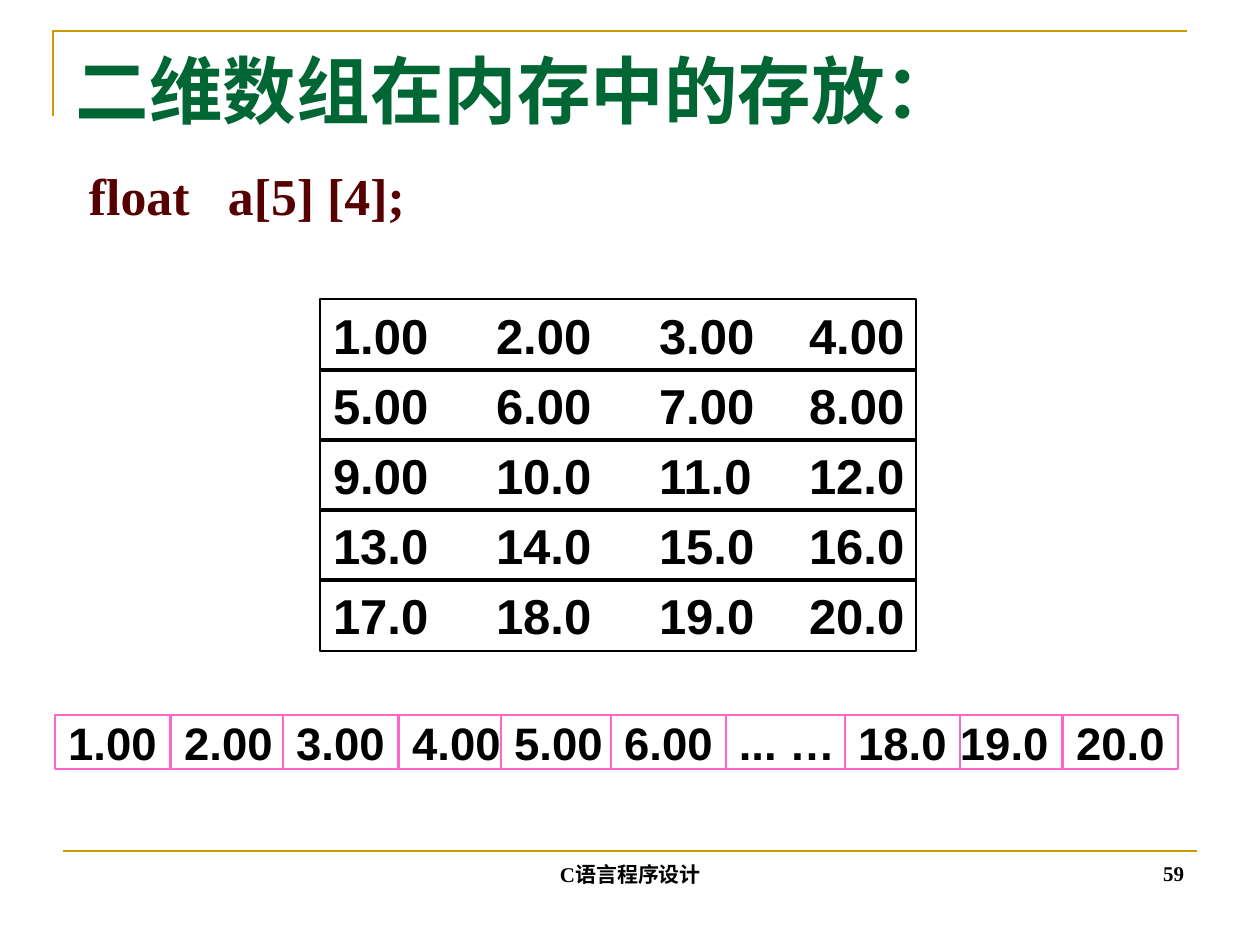
"""Build the slide on how a two-dimensional array is stored in memory."""
from pptx import Presentation
from pptx.dml.color import RGBColor
from pptx.enum.shapes import MSO_CONNECTOR, MSO_SHAPE
from pptx.enum.text import MSO_ANCHOR, PP_ALIGN
from pptx.oxml.ns import qn
from pptx.util import Pt
from lxml import etree

RECT, LINE = MSO_SHAPE.RECTANGLE, MSO_CONNECTOR.STRAIGHT
TOP, MID, LOW = MSO_ANCHOR.TOP, MSO_ANCHOR.MIDDLE, MSO_ANCHOR.BOTTOM
LEFT, CENTER, RIGHT = PP_ALIGN.LEFT, PP_ALIGN.CENTER, PP_ALIGN.RIGHT
SCALE = 914400 / 126
GOLD, BLACK, PINK, WHITE = "CC9900", "000000", "FF66CC", "FFFFFF"
SERIF, SANS = "Times New Roman", "Arial"

# text, box, size, colour, anchor, alignment, tab stops
TEXTS = [
    ("二维数组在内存中的存放：", (63, 39, 1134, 157), 42, "006633", TOP, LEFT, ()),
    ("float\ta[5] [4];", (76, 158, 354, 79), 29.6, "560000", TOP, LEFT, (139,)),
    ("59", (903, 829, 294, 63), 12, BLACK, LOW, RIGHT, ()),
    ("C语言程序设计", (431, 830, 399, 63), 12, BLACK, LOW, CENTER, ()),
]
ROWS = [
    ("1.00", "2.00", "3.00", "4.00"),
    ("5.00", "6.00", "7.00", "8.00"),
    ("9.00", "10.0", "11.0", "12.0"),
    ("13.0", "14.0", "15.0", "16.0"),
    ("17.0", "18.0", "19.0", "20.0"),
]
GRID = {"left": 320, "top": 299, "step": 70, "width": 596, "height": 72}
STOPS = (163, 326, 476)
# text, left, width, alignment
CELLS = [
    ("1.00", 55, 115, CENTER), ("2.00", 171, 115, CENTER),
    ("3.00", 283, 115, CENTER), ("4.00", 399, 115, CENTER),
    ("5.00", 501, 115, CENTER), ("6.00", 611, 115, CENTER),
    ("... …", 726, 122, CENTER), ("18.0", 845, 115, CENTER),
    ("19.0", 960, 102, LEFT), ("20.0", 1063, 115, CENTER),
]
STRIP = {"top": 715, "height": 54}


def px(num):
    return round(num * SCALE)


def rgb(code):
    return RGBColor.from_string(code)


def stroke(shape, color, width):
    shape.line.color.rgb = rgb(color)
    shape.line.width = Pt(width)


def write(shape, text, font, size, color, anchor, align, stops=(),
          pad=(13, 6, 13, 6), wrap=True):
    frame = shape.text_frame
    left, top, right, bottom = map(px, pad)
    form = {"margin_left": left, "margin_right": right, "margin_top": top,
            "margin_bottom": bottom, "vertical_anchor": anchor, "word_wrap": wrap}
    for key, val in form.items():
        setattr(frame, key, val)
    para = frame.paragraphs[0]
    para.alignment = align
    if stops:
        tabs = etree.SubElement(para._p.get_or_add_pPr(), qn("a:tabLst"))
        for stop in stops:
            etree.SubElement(tabs, qn("a:tab"), pos=str(px(stop)), algn="l")
    run = para.add_run()
    run.text = text
    for key, val in {"name": font, "size": Pt(size), "bold": True}.items():
        setattr(run.font, key, val)
    run.font.color.rgb = rgb(color)


def rect(shapes, box, color, width, fill=None):
    shape = shapes.add_shape(RECT, *map(px, box))
    shape.shadow.inherit = False
    if fill:
        shape.fill.solid()
        shape.fill.fore_color.rgb = rgb(fill)
    else:
        shape.fill.background()
    stroke(shape, color, width)
    return shape


def frame_lines(shapes):
    draft = shapes.build_freeform(53, 116, scale=SCALE)
    draft.add_line_segments([(53, 31), (1187, 31)], close=False)
    corner = draft.convert_to_shape()
    corner.shadow.inherit = False
    corner.fill.background()
    rule = shapes.add_connector(LINE, *map(px, (63, 851, 1197, 851)))
    etree.SubElement(rule._element.spPr, qn("a:effectLst"))
    for item in (corner, rule):
        stroke(item, GOLD, 1.5)


def main():
    deck = Presentation()
    deck.slide_width, deck.slide_height = px(1260), px(945)
    shapes = deck.slides.add_slide(deck.slide_layouts[6]).shapes
    frame_lines(shapes)
    for num, row in enumerate(ROWS):
        box = (GRID["left"], GRID["top"] + num * GRID["step"], GRID["width"], GRID["height"])
        write(rect(shapes, box, BLACK, 0.75), "\t".join(row), SANS, 28, BLACK,
              MID, LEFT, STOPS, pad=(13, 6, 0, 6))
    for text, left, width, align in CELLS:
        cell = rect(shapes, (left, STRIP["top"], width, STRIP["height"]), PINK, 1, WHITE)
        write(cell, text, SANS, 26, BLACK, MID, align, pad=(0, 0, 0, 0), wrap=False)
    for text, box, size, color, anchor, align, stops in TEXTS:
        area = shapes.add_textbox(*map(px, box))
        write(area, text, SERIF, size, color, anchor, align, stops)
    deck.save("out.pptx")


if __name__ == "__main__":
    main()
